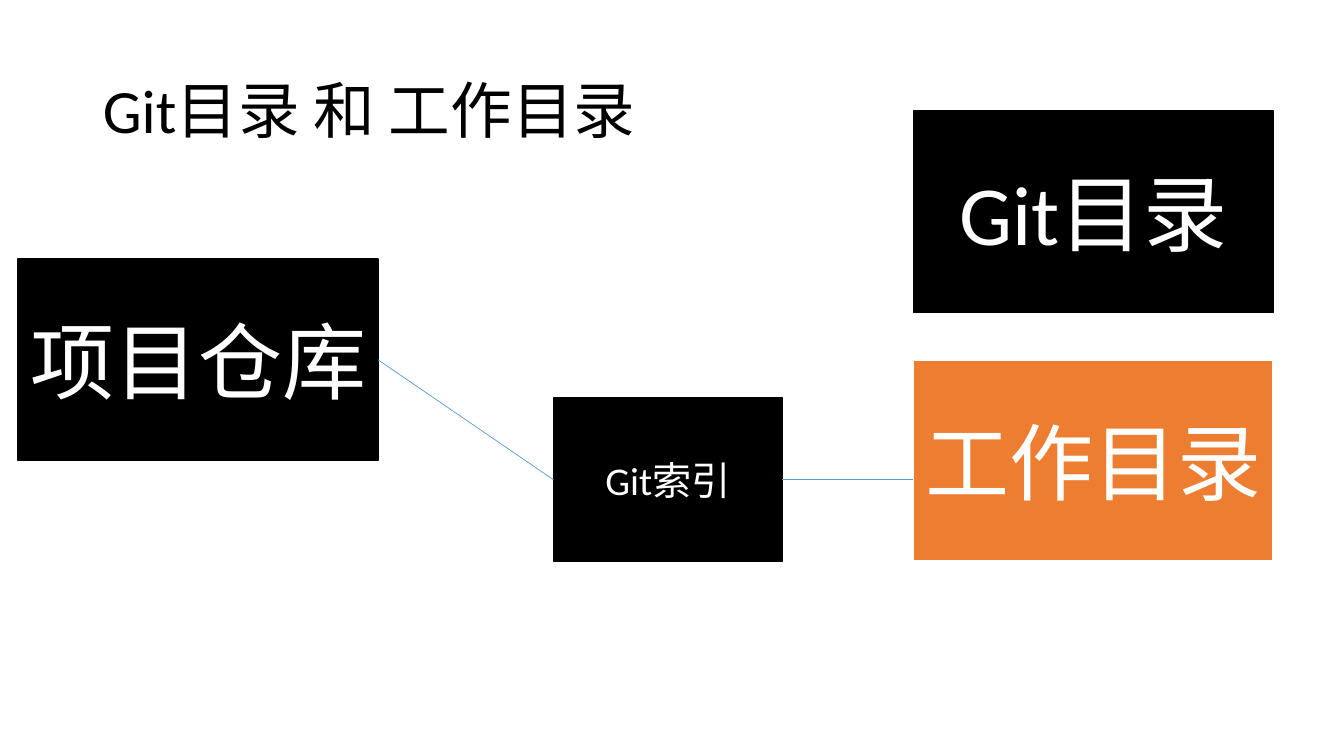
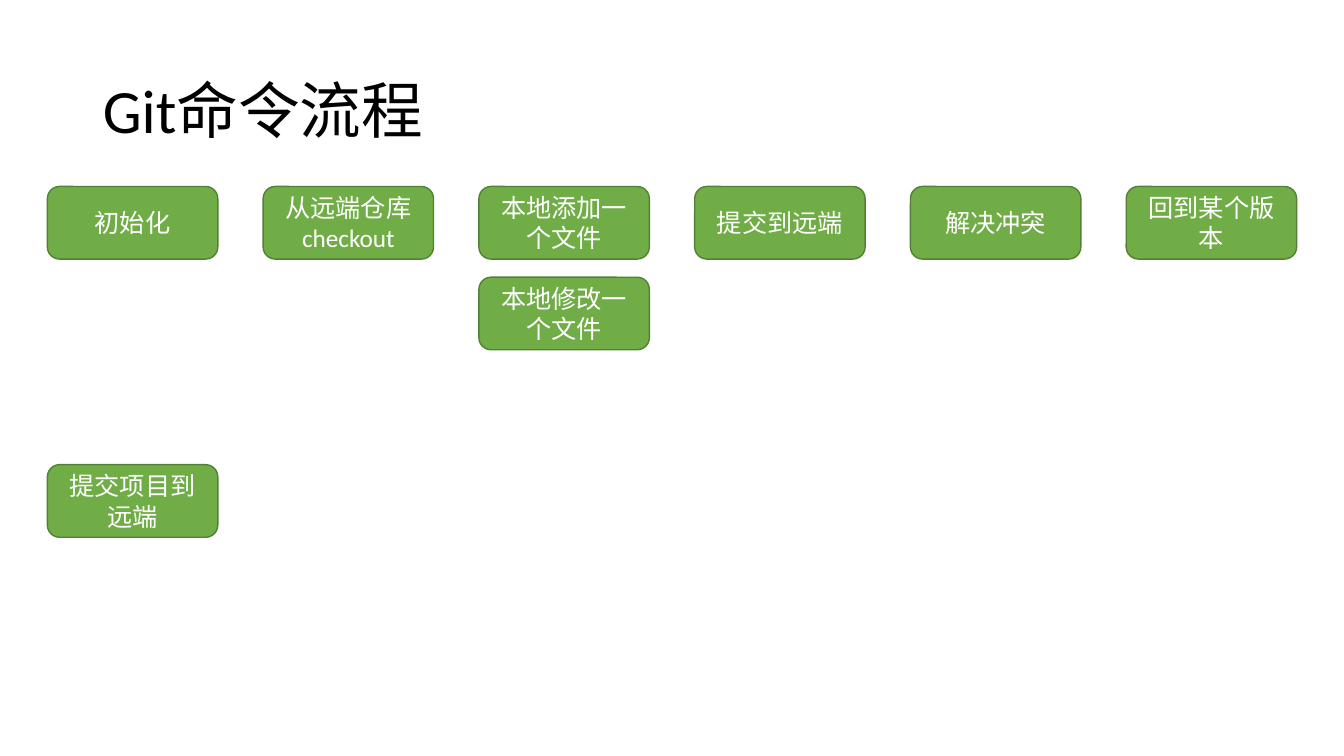
from pptx import Presentation
from pptx.dml.color import RGBColor
from pptx.enum import shapes, text
from pptx.oxml import ns, xmlchemy
from pptx.util import Inches, Pt

BLACK = RGBColor(0x00, 0x00, 0x00)
WHITE = RGBColor(0xFF, 0xFF, 0xFF)
ORANGE = RGBColor(0xED, 0x7D, 0x31)
BLUE = RGBColor(0x5B, 0x9B, 0xD5)
GREEN = RGBColor(0x70, 0xAD, 0x47)
MOSS = RGBColor(0x53, 0x80, 0x35)
FONT = "Calibri"
RECT = shapes.MSO_SHAPE.RECTANGLE
ROUND = shapes.MSO_SHAPE.ROUNDED_RECTANGLE


def add_page(words):
    page = deck.slides.add_slide(deck.slide_layouts[5])
    title = page.shapes.title
    title.left, title.top = Inches(0.92), Inches(0.4)
    title.width, title.height = Inches(11.5), Inches(1.45)
    frame = title.text_frame
    frame.text = words
    frame.word_wrap = True
    frame.auto_size = text.MSO_AUTO_SIZE.NONE
    frame.vertical_anchor = text.MSO_ANCHOR.MIDDLE
    para = frame.paragraphs[0]
    para.alignment = text.PP_ALIGN.LEFT
    para.line_spacing = 0.9
    para.font.name, para.font.size = FONT, Pt(44)
    para.font.color.rgb = BLACK
    return page


def add_box(page, kind, words, area, size, fill, edge, weight=1):
    box = page.shapes.add_shape(kind, *[Inches(n) for n in area])
    box.shadow.inherit = False
    box.fill.solid()
    box.fill.fore_color.rgb = fill
    box.line.color.rgb = edge
    box.line.width = Pt(weight)
    frame = box.text_frame
    frame.text = words
    frame.word_wrap = True
    frame.vertical_anchor = text.MSO_ANCHOR.MIDDLE
    para = frame.paragraphs[0]
    para.alignment = text.PP_ALIGN.CENTER
    para.font.name, para.font.size = FONT, Pt(size)
    para.font.color.rgb = WHITE
    return box


deck = Presentation()
deck.slide_width, deck.slide_height = Inches(13.33), Inches(7.5)

page = add_page("Git目录 和 工作目录")
add_box(page, RECT, "Git目录", (9.06, 1.1, 3.57, 2), 60, BLACK, BLACK)
add_box(page, RECT, "工作目录", (9.06, 3.57, 3.57, 2), 60, ORANGE, WHITE, 1.5)
store = add_box(page, RECT, "项目仓库", (0.18, 2.57, 3.57, 2), 60, BLACK, BLACK)
index = add_box(page, RECT, "Git索引", (5.49, 3.95, 2.27, 1.62), 28, BLACK, BLACK)

work_link, store_link = [
    page.shapes.add_connector(shapes.MSO_CONNECTOR.STRAIGHT, *[Inches(n) for n in ends])
    for ends in ((7.76, 4.76, 9.06, 4.76), (3.75, 3.57, 5.49, 4.76))
]
work_link.begin_connect(index, 3)
store_link.begin_connect(store, 3)
store_link.end_connect(index, 1)
for link in (work_link, store_link):
    link.line.color.rgb = BLUE
    link.line.width = Pt(0.5)
    link._element.spPr.append(xmlchemy.OxmlElement("a:effectLst"))

page = add_page("Git命令流程")
steps = [
    ("初始化", 0, 1.85),
    ("从远端仓库checkout", 1, 1.85),
    ("本地添加一个文件", 2, 1.85),
    ("本地修改一个文件", 2, 2.75),
    ("提交到远端", 3, 1.85),
    ("解决冲突", 4, 1.85),
    ("回到某个版本", 5, 1.85),
    ("提交项目到远端", 0, 4.61),
]
for words, col, top in steps:
    add_box(page, ROUND, words, (0.47 + 2.14 * col, top, 1.69, 0.72), 18, GREEN, MOSS)

deck.save("out.pptx")
